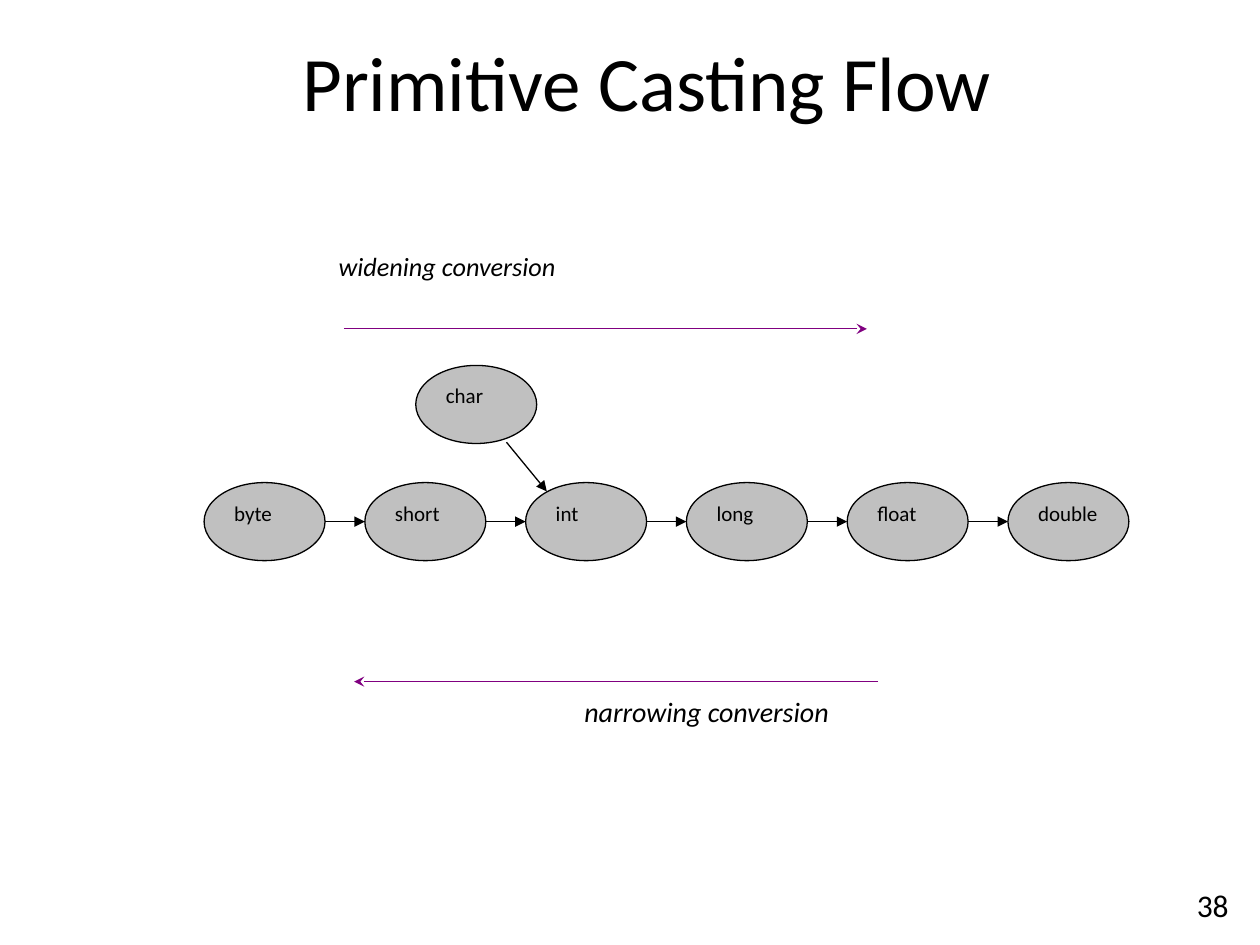
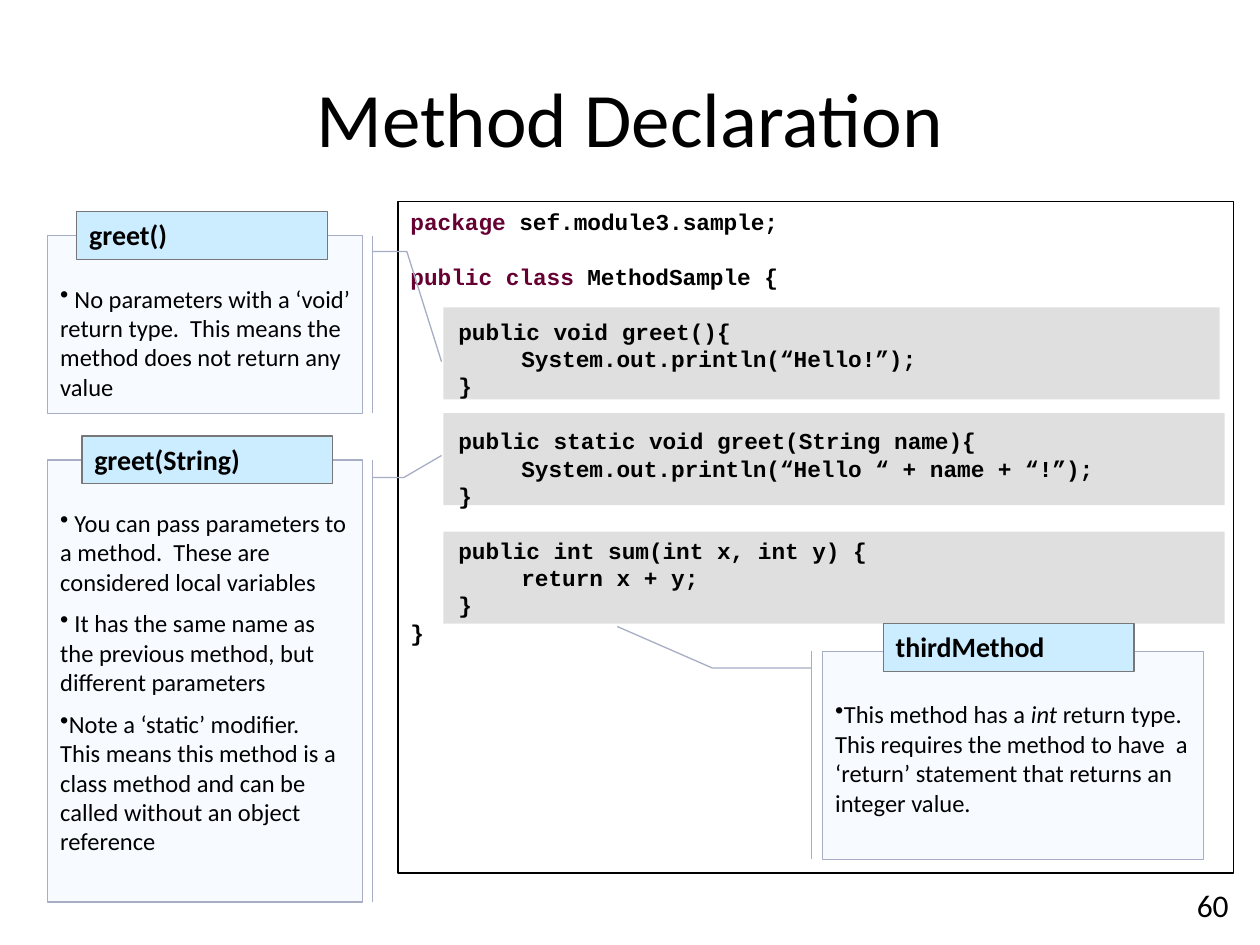
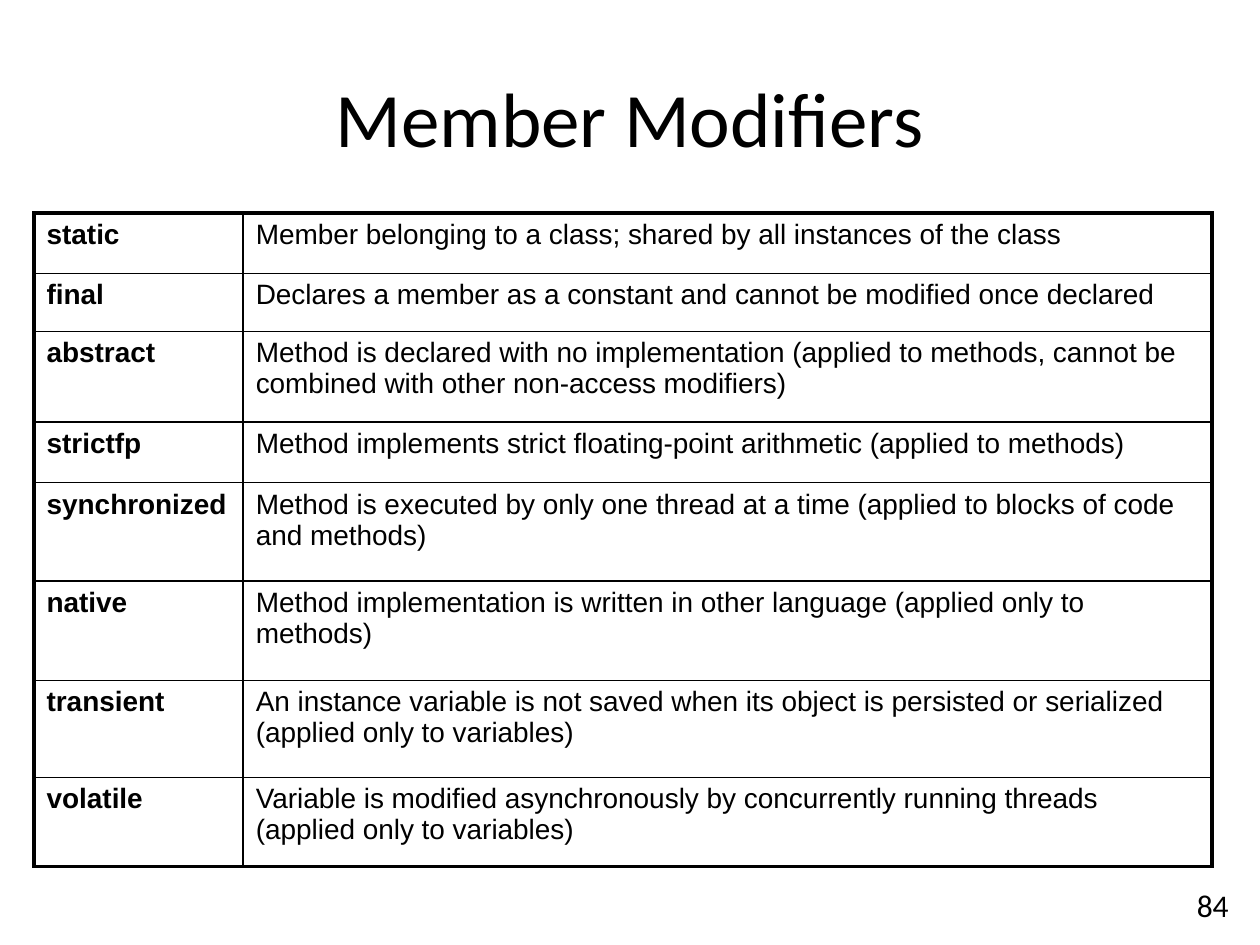
from dataclasses import dataclass

from lxml import etree
from pptx import Presentation
from pptx.dml.color import RGBColor
from pptx.enum.shapes import MSO_CONNECTOR, MSO_SHAPE
from pptx.enum.text import MSO_ANCHOR, PP_ALIGN
from pptx.oxml.ns import qn
from pptx.util import Inches, Pt

LEFT, CENTER, RIGHT = PP_ALIGN.LEFT, PP_ALIGN.CENTER, PP_ALIGN.RIGHT
TOP, MIDDLE, BOTTOM = MSO_ANCHOR.TOP, MSO_ANCHOR.MIDDLE, MSO_ANCHOR.BOTTOM
RECTANGLE, OVAL = MSO_SHAPE.RECTANGLE, MSO_SHAPE.OVAL
CALLOUT = MSO_SHAPE.LINE_CALLOUT_2_BORDER_AND_ACCENT_BAR
STRAIGHT = MSO_CONNECTOR.STRAIGHT


@dataclass(frozen=True)
class Theme:
    body_font: str = "Calibri"
    code_font: str = "Courier New"
    table_font: str = "Arial"
    ink: str = "000000"
    keyword: str = "660033"
    gray: str = "C0C0C0"
    purple: str = "800080"
    callout_fill: str = "F7FBFF"
    callout_line: str = "A6ADC4"
    label_fill: str = "CCECFF"
    label_line: str = "777777"
    title_size: float = 44
    number_size: float = 18
    heading_size: float = 16
    widening_size: float = 15
    note_size: float = 14
    code_size: float = 13
    node_size: float = 12
    code_leading: float = 15.65
    note_gap: float = 7
    thin: float = 0.75
    medium: float = 1
    thick: float = 2.25


THEME = Theme()


@dataclass(frozen=True)
class Box:
    left: float
    top: float
    width: float
    height: float

    def lengths(self) -> tuple:
        return tuple(map(Inches, (self.left, self.top, self.width, self.height)))


@dataclass(frozen=True)
class Run:
    text: str
    color: str = THEME.ink
    italic: bool = False


@dataclass(frozen=True)
class Line:
    """One paragraph with its own space before, in points."""
    runs: tuple[Run, ...]
    space_before: float = 0


@dataclass(frozen=True)
class Callout:
    box: Box
    pointer: tuple[float, ...]
    label: str
    label_box: Box
    notes: tuple[tuple[Run, ...], ...]


@dataclass(frozen=True)
class Modifier:
    name: str
    meaning: str
    height: float


TITLE_BOX = Box(0.5, 0.3, 9, 1.25)
NUMBER_BOX = Box(8, 7.08, 1.85, 0.3)

NODE_WIDTH, NODE_HEIGHT = 0.96, 0.62
CHAIN_TOP, CHAIN_LEFT, CHAIN_LAST_LEFT = 3.83, 1.62, 8
CHAIN_TYPES = ("byte", "short", "int", "long", "float", "double")

CODE_BOX = Box(3.16, 1.6, 6.63, 5.33)
CODE_BANDS = (
    Box(3.52, 4.22, 6.2, 0.73),
    Box(3.52, 3.28, 6.2, 0.73),
    Box(3.52, 2.44, 6.16, 0.73),
)
CODE_BLOCKS = (
    ((Run("package ", THEME.keyword), Run("sef.module3.sample;")),),
    ((Run("public class", THEME.keyword), Run(" MethodSample {")),),
    (
        (Run("\tpublic void greet(){"),),
        (Run("\t\tSystem.out.println(“Hello!”);"),),
        (Run("\t}"),),
    ),
    (
        (Run("\tpublic static void greet(String name){"),),
        (Run("\t\tSystem.out.println(“Hello “ + name + “!”);"),),
        (Run("\t}"),),
    ),
    (
        (Run("\tpublic int sum(int x, int y) {"),),
        (Run("\t\treturn x + y;"),),
        (Run("\t}"),),
        (Run("}"),),
    ),
)

CALLOUTS = (
    Callout(
        Box(0.38, 1.87, 2.5, 1.41), (0.09, 1.03, 0.09, 1.14, 0.71, 1.25),
        "greet()", Box(0.61, 1.68, 1.99, 0.38),
        ((Run(" No parameters with a ‘void’ return type.  This means the "
              "method does not return any value"),),),
    ),
    Callout(
        Box(0.38, 3.65, 2.5, 3.51), (0.04, 1.03, 0.04, 1.13, -0.01, 1.25),
        "greet(String)", Box(0.65, 3.46, 1.99, 0.38),
        (
            (Run(" You can pass parameters to a method.  These are considered "
                 "local variables"),),
            (Run(" It has the same name as the previous method, but different "
                 "parameters"),),
            (Run("Note a ‘static’ modifier.  This means this method is a class "
                 "method and can be called without an object reference"),),
        ),
    ),
    Callout(
        Box(6.53, 5.17, 3.02, 1.65), (0.08, -0.03, 0.08, -0.29, -0.12, -0.54),
        "thirdMethod", Box(7.01, 4.95, 1.99, 0.38),
        ((Run("This method has a "), Run("int ", italic=True),
          Run("return type.  This requires the method to have  a ‘return’ "
              "statement that returns an integer value.")),),
    ),
)

TABLE_LEFT, TABLE_TOP = 0.27, 1.69
COLUMN_WIDTHS = (1.66, 7.69)
MODIFIERS = (
    Modifier("static", "Member belonging to a class; shared by all instances "
             "of the class", 0.48),
    Modifier("final", "Declares a member as a constant and cannot be modified "
             "once declared", 0.46),
    Modifier("abstract", "Method is declared with no implementation (applied to "
             "methods, cannot be combined with other non-access modifiers)", 0.72),
    Modifier("strictfp", "Method implements strict floating-point arithmetic "
             "(applied to methods)", 0.48),
    Modifier("synchronized", "Method is executed by only one thread at a time "
             "(applied to blocks of code and methods)", 0.78),
    Modifier("native", "Method implementation is written in other language "
             "(applied only to methods)", 0.79),
    Modifier("transient", "An instance variable is not saved when its object is "
             "persisted or serialized (applied only to variables)", 0.77),
    Modifier("volatile", "Variable is modified asynchronously by concurrently "
             "running threads (applied only to variables)", 0.71),
)


def write_text(frame, content: str | list[Line], *, size: float,
               font: str = THEME.body_font, bold: bool = False,
               italic: bool = False, align=LEFT, anchor=TOP,
               top_inset: float = 0.05, leading: float | None = None,
               hanging: float = 0, bullet: str = "") -> None:
    """Fill a text frame; a plain string becomes a single paragraph."""
    frame.word_wrap = True
    frame.vertical_anchor = anchor
    frame.margin_left = frame.margin_right = Inches(0.1)
    frame.margin_top, frame.margin_bottom = Inches(top_inset), Inches(0.05)
    lines = [Line((Run(content),))] if isinstance(content, str) else content
    for index, line in enumerate(lines):
        paragraph = frame.add_paragraph() if index else frame.paragraphs[0]
        paragraph.alignment = align
        if line.space_before:
            paragraph.space_before = Pt(line.space_before)
        if leading:
            paragraph.line_spacing = Pt(leading)
        properties = paragraph._p.get_or_add_pPr()
        if hanging:
            properties.set("marL", str(Inches(hanging)))
            properties.set("indent", str(-Inches(hanging)))
        if bullet:
            etree.SubElement(properties, qn("a:buChar"), char=bullet)
        for part in line.runs:
            run = paragraph.add_run()
            run.text = part.text
            run.font.name = font
            run.font.size = Pt(size)
            run.font.bold = bold
            run.font.italic = italic or part.italic
            run.font.color.rgb = RGBColor.from_string(part.color)


def add_text(slide, box: Box, text: str, **text_format) -> None:
    write_text(slide.shapes.add_textbox(*box.lengths()).text_frame, text, **text_format)


def add_shape(slide, kind, box: Box, *, fill: str | None = None,
              line: str | None = None, line_width: float = THEME.thin,
              alpha: int | None = None):
    """Add a flat shape; alpha is the opacity of its fill in percent."""
    shape = slide.shapes.add_shape(kind, *box.lengths())
    shape.shadow.inherit = False
    if fill:
        shape.fill.solid()
        shape.fill.fore_color.rgb = RGBColor.from_string(fill)
    else:
        shape.fill.background()
    if alpha is not None:
        color = shape._element.spPr.find(f"{qn('a:solidFill')}/{qn('a:srgbClr')}")
        etree.SubElement(color, qn("a:alpha"), val=str(alpha * 1000))
    if line:
        shape.line.color.rgb = RGBColor.from_string(line)
        shape.line.width = Pt(line_width)
    else:
        shape.line.fill.background()
    return shape


def add_arrow(slide, start: tuple[float, float], end: tuple[float, float], *,
              color: str = THEME.ink, head: str = "triangle") -> None:
    connector = slide.shapes.add_connector(STRAIGHT, *map(Inches, start + end))
    connector.line.color.rgb = RGBColor.from_string(color)
    connector.line.width = Pt(THEME.thin)
    etree.SubElement(connector.line._get_or_add_ln(), qn("a:tailEnd"), type=head)
    etree.SubElement(connector._element.spPr, qn("a:effectLst"))


def start_slide(presentation, title: str, number: int, title_box: Box = TITLE_BOX):
    """Add a blank slide with its page number and title."""
    slide = presentation.slides.add_slide(presentation.slide_layouts[6])
    add_text(slide, NUMBER_BOX, str(number), size=THEME.number_size,
             align=RIGHT, anchor=BOTTOM)
    add_text(slide, title_box, title, size=THEME.title_size,
             align=CENTER, anchor=MIDDLE)
    return slide


def add_type_node(slide, name: str, left: float, top: float) -> None:
    node = add_shape(slide, OVAL, Box(left, top, NODE_WIDTH, NODE_HEIGHT),
                     fill=THEME.gray, line=THEME.ink)
    write_text(node.text_frame, name, size=THEME.node_size)


def build_casting_slide(presentation) -> None:
    slide = start_slide(presentation, "Primitive Casting Flow", 38,
                        Box(0.68, 0.04, 8.91, 1.2))
    pitch = (CHAIN_LAST_LEFT - CHAIN_LEFT) / (len(CHAIN_TYPES) - 1)
    middle = CHAIN_TOP + NODE_HEIGHT / 2
    for index, name in enumerate(CHAIN_TYPES):
        left = CHAIN_LEFT + index * pitch
        if index:
            add_arrow(slide, (left - pitch + NODE_WIDTH, middle), (left, middle))
        add_type_node(slide, name, left, CHAIN_TOP)
    add_type_node(slide, "char", 3.3, 2.9)
    add_arrow(slide, (4.02, 3.51), (4.34, 3.9))

    add_text(slide, Box(2.59, 1.94, 4.07, 0.38), "widening conversion",
             size=THEME.widening_size, italic=True)
    add_arrow(slide, (2.73, 2.61), (6.88, 2.61), color=THEME.purple, head="stealth")
    add_arrow(slide, (6.97, 5.41), (2.81, 5.41), color=THEME.purple, head="stealth")
    add_text(slide, Box(4.54, 5.46, 4.03, 0.34), "narrowing conversion",
             size=THEME.heading_size, italic=True)


def add_callout(slide, callout: Callout) -> None:
    shape = add_shape(slide, CALLOUT, callout.box, fill=THEME.callout_fill,
                      line=THEME.callout_line)
    for index, value in enumerate(callout.pointer):
        shape.adjustments[index] = value
    notes = [Line(runs, THEME.note_gap if index else 0)
             for index, runs in enumerate(callout.notes)]
    write_text(shape.text_frame, notes, size=THEME.note_size,
               top_inset=0.38, bullet="•")


def build_method_slide(presentation) -> None:
    slide = start_slide(presentation, "Method Declaration", 60)
    for band in CODE_BANDS:
        add_shape(slide, RECTANGLE, band, fill=THEME.gray, alpha=50)

    code = add_shape(slide, RECTANGLE, CODE_BOX, line=THEME.ink,
                     line_width=THEME.medium)
    lines = [Line(runs, THEME.code_leading if block and not row else 0)
             for block, rows in enumerate(CODE_BLOCKS)
             for row, runs in enumerate(rows)]
    write_text(code.text_frame, lines, size=THEME.code_size, font=THEME.code_font,
               bold=True, leading=THEME.code_leading, hanging=0.38)

    for callout in CALLOUTS:
        add_callout(slide, callout)
    for callout in CALLOUTS:
        label = add_shape(slide, RECTANGLE, callout.label_box,
                          fill=THEME.label_fill, line=THEME.label_line)
        write_text(label.text_frame, callout.label, size=THEME.heading_size, bold=True)


def set_borders(cell, widths: dict[str, float]) -> None:
    """Draw cell borders; widths are in points, keyed by L, R, T and B."""
    properties = cell._tc.get_or_add_tcPr()
    for index, (side, width) in enumerate(widths.items()):
        border = etree.Element(qn(f"a:ln{side}"), w=str(Pt(width)))
        fill = etree.SubElement(border, qn("a:solidFill"))
        etree.SubElement(fill, qn("a:srgbClr"), val=THEME.ink)
        properties.insert(index, border)


def build_modifier_slide(presentation) -> None:
    slide = start_slide(presentation, "Member Modifiers", 84)
    box = Box(TABLE_LEFT, TABLE_TOP, sum(COLUMN_WIDTHS),
              sum(modifier.height for modifier in MODIFIERS))
    table = slide.shapes.add_table(len(MODIFIERS), len(COLUMN_WIDTHS),
                                   *box.lengths()).table
    table.first_row = table.horz_banding = False
    for column, width in zip(table.columns, COLUMN_WIDTHS):
        column.width = Inches(width)

    last_row, last_column = len(MODIFIERS) - 1, len(COLUMN_WIDTHS) - 1
    for row, modifier in enumerate(MODIFIERS):
        table.rows[row].height = Inches(modifier.height)
        for column, text in enumerate((modifier.name, modifier.meaning)):
            cell = table.cell(row, column)
            cell.fill.background()
            write_text(cell.text_frame, text, size=THEME.heading_size,
                       font=THEME.table_font, bold=column == 0)
            outer = {"L": column == 0, "R": column == last_column,
                     "T": row == 0, "B": row == last_row}
            set_borders(cell, {side: THEME.thick if edge else THEME.medium
                               for side, edge in outer.items()})


def main() -> None:
    presentation = Presentation()
    presentation.slide_width, presentation.slide_height = Inches(10), Inches(7.5)
    build_casting_slide(presentation)
    build_method_slide(presentation)
    build_modifier_slide(presentation)
    presentation.save("out.pptx")


if __name__ == "__main__":
    main()
